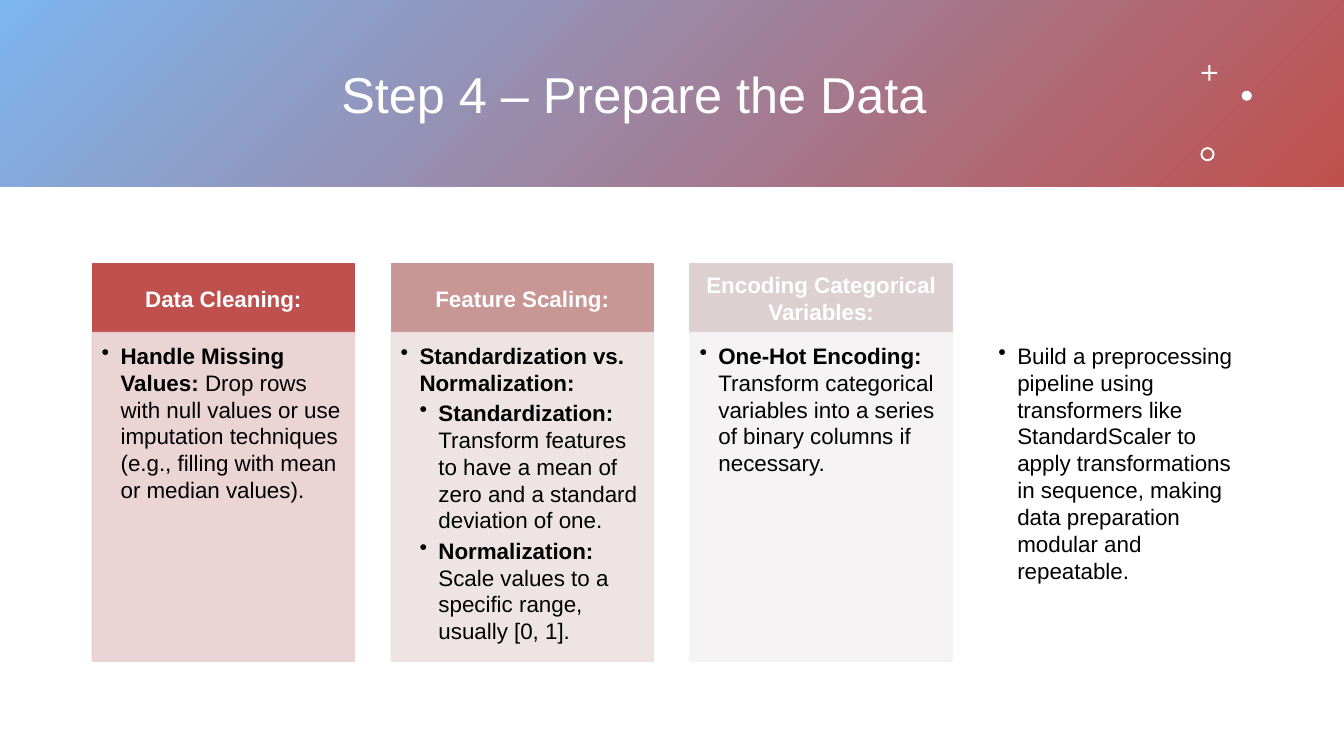
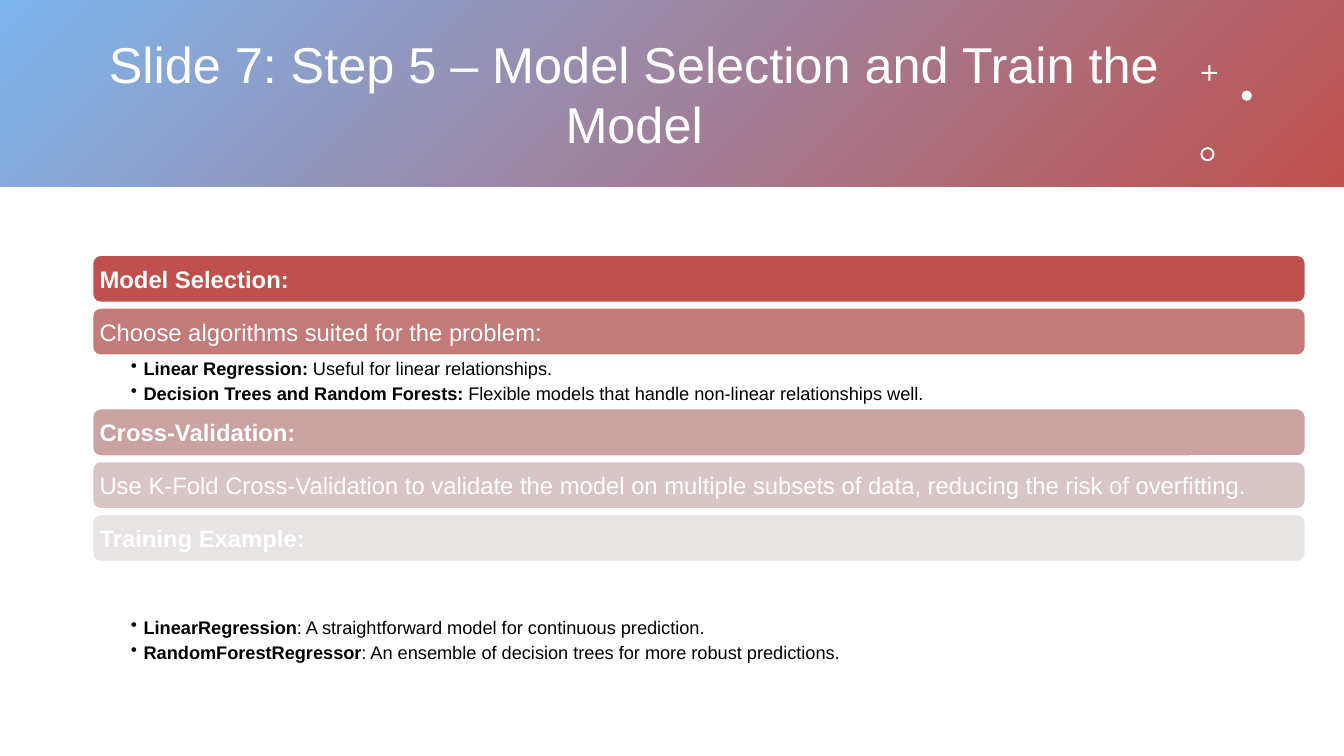
import dataclasses

import pptx
import pptx.dml.color
import pptx.enum.dml
import pptx.enum.shapes
import pptx.enum.text
import pptx.oxml.ns
import pptx.util
from lxml import etree

Pt = pptx.util.Pt
Shape = pptx.enum.shapes.MSO_SHAPE
Align = pptx.enum.text.PP_ALIGN
Anchor = pptx.enum.text.MSO_ANCHOR
qn = pptx.oxml.ns.qn


@dataclasses.dataclass(frozen=True)
class Theme:
    font: str = "Arial"
    white: str = "FFFFFF"
    black: str = "000000"
    sky: str = "7DB6EF"
    brick: str = "C0504D"
    title_size: float = 36
    column_size: float = 16
    bar_size: float = 17
    detail_size: float = 13
    leading: float = 1.2


@dataclasses.dataclass(frozen=True)
class Box:
    left: float
    top: float
    width: float
    height: float

    def lengths(self):
        return [Pt(value) for value in dataclasses.astuple(self)]


THEME = Theme()
PAGE = Box(0, 0, 960, 540)
BAND = Box(0, 0, 960, 133.5)
COLUMNS = Box(66, 188.6, 827.7, 283.7)
BARS = Box(66.2, 182.3, 866.2, 295)


def rgb(value):
    return pptx.dml.color.RGBColor.from_string(value)


def add_block(page, kind, box, fill, line=None, alpha=None):
    shape = page.shapes.add_shape(kind, *box.lengths())
    shape.shadow.inherit = False
    shape.fill.solid()
    shape.fill.fore_color.rgb = rgb(fill)
    if line:
        shape.line.color.rgb = rgb(line)
        shape.line.width = Pt(1)
    else:
        shape.line.fill.background()
    if alpha:
        for color in shape.element.spPr.iter(qn("a:srgbClr")):
            etree.SubElement(color, qn("a:alpha"), val=str(alpha * 1000))
    return shape


def prepare_frame(shape, insets, anchor):
    frame = shape.text_frame
    frame.word_wrap = True
    frame.vertical_anchor = anchor
    (frame.margin_left, frame.margin_top,
     frame.margin_right, frame.margin_bottom) = [Pt(inset) for inset in insets]
    return frame


def write_para(para, spans, size, color, align=Align.LEFT):
    para.alignment = align
    para.line_spacing = Pt(round(size * THEME.leading, 1))
    para.font.name = THEME.font
    para.font.size = Pt(size)
    para.font.color.rgb = rgb(color)
    for text, bold in spans:
        span = para.add_run()
        span.text = text
        span.font.bold = bold


def write_bullets(frame, items, size, hang, gap):
    for index, (level, spans) in enumerate(items):
        para = frame.paragraphs[0] if index == 0 else frame.add_paragraph()
        para.level = level
        para.space_after = Pt(gap)
        properties = para._p.get_or_add_pPr()
        properties.set("marL", str(Pt(hang * level)))
        properties.set("indent", str(-Pt(hang)))
        etree.SubElement(properties, qn("a:buChar"), char="•")
        write_para(para, spans, size, THEME.black)


def add_title_band(page, box, title):
    band = add_block(page, Shape.RECTANGLE, box, THEME.sky)
    band.fill.gradient()
    band.fill.gradient_angle = 315
    for stop, color in zip(band.fill.gradient_stops, (THEME.sky, THEME.brick)):
        stop.color.rgb = rgb(color)

    title_box = Box(box.left + 66, box.top + 23.8, 774, 85.7)
    frame = prepare_frame(page.shapes.add_textbox(*title_box.lengths()),
                          (7.2, 3.6, 7.2, 3.6), Anchor.MIDDLE)
    write_para(frame.paragraphs[0], [(title, False)], THEME.title_size,
               THEME.white, Align.CENTER)

    ornaments = [
        (Shape.CROSS, 858.4, 46.6, 11, 0.44),
        (Shape.OVAL, 887, 64.8, 7.2, None),
        (Shape.DONUT, 857.5, 105.1, 10.1, 0.14),
    ]
    for kind, left, top, size, adjustment in ornaments:
        ornament = add_block(page, kind, Box(box.left + left, box.top + top, size, size),
                             THEME.white)
        if adjustment:
            ornament.adjustments[0] = adjustment


def add_columns(page, box, columns):
    gap, header_height = 26.3, 49
    width = (box.width - gap * (len(columns) - 1)) / len(columns)
    for index, (heading, header_color, body_color, items) in enumerate(columns):
        left = box.left + index * (width + gap)
        header = add_block(page, Shape.RECTANGLE,
                           Box(left, box.top, width, header_height),
                           header_color, header_color)
        if heading:
            frame = prepare_frame(header, (9, 5, 9, 5), Anchor.MIDDLE)
            write_para(frame.paragraphs[0], [(heading, True)], THEME.column_size,
                       THEME.white, Align.CENTER)
        body = add_block(page, Shape.RECTANGLE,
                         Box(left, box.top + header_height, width,
                             box.height - header_height),
                         body_color, body_color, alpha=90)
        frame = prepare_frame(body, (6.7, 6.7, 9, 10), Anchor.TOP)
        write_bullets(frame, items, THEME.column_size, 13.5, 2.4)


def add_bars(page, box, bars):
    bar_height, gap, detail_height = 33.7, 4, 38.3
    top = box.top
    for heading, bold, color, items in bars:
        bar = add_block(page, Shape.ROUNDED_RECTANGLE,
                        Box(box.left, top, box.width, bar_height),
                        color, THEME.white)
        if heading:
            frame = prepare_frame(bar, (3.3, 3.3, 3.3, 3.3), Anchor.MIDDLE)
            write_para(frame.paragraphs[0], [(heading, bold)], THEME.bar_size,
                       THEME.white)
        top += bar_height
        if items:
            detail = page.shapes.add_textbox(
                *Box(box.left, top, box.width, detail_height).lengths())
            frame = prepare_frame(detail, (27.4, 1.4, 9.4, 1.4), Anchor.TOP)
            write_bullets(frame, items, THEME.detail_size, 9, 2.6)
            top += detail_height
        else:
            top += gap


PREPARATION = [
    ("Data Cleaning:", THEME.brick, "E8D0D0", [
        (1, [("Handle Missing Values: ", True),
             ("Drop rows with null values or use imputation techniques "
              "(e.g., filling with mean or median values).", False)]),
    ]),
    ("Feature Scaling:", "C89695", "EDE2E2", [
        (1, [("Standardization vs. Normalization:", True)]),
        (2, [("Standardization: ", True),
             ("Transform features to have a mean of zero and a standard "
              "deviation of one.", False)]),
        (2, [("Normalization: ", True),
             ("Scale values to a specific range, usually [0, 1].", False)]),
    ]),
    ("Encoding Categorical Variables:", "DDD0D0", "F5F2F2", [
        (1, [("One-Hot Encoding: ", True),
             ("Transform categorical variables into a series of binary columns "
              "if necessary.", False)]),
    ]),
    (None, THEME.white, THEME.white, [
        (1, [("Build a preprocessing pipeline using transformers like "
              "StandardScaler to apply transformations in sequence, making data "
              "preparation modular and repeatable.", False)]),
    ]),
]

TRAINING = [
    ("Model Selection:", True, THEME.brick, []),
    ("Choose algorithms suited for the problem:", False, "C37B7A", [
        (1, [("Linear Regression:", True),
             (" Useful for linear relationships.", False)]),
        (1, [("Decision Trees and Random Forests:", True),
             (" Flexible models that handle non-linear relationships well.", False)]),
    ]),
    ("Cross-Validation:", True, "CBA2A2", []),
    ("Use K-Fold Cross-Validation to validate the model on multiple subsets of data, "
     "reducing the risk of overfitting.", False, "D8C5C5", []),
    ("Training Example:", True, "E9E4E4", []),
    (None, False, THEME.white, [
        (1, [("LinearRegression", True),
             (": A straightforward model for continuous prediction.", False)]),
        (1, [("RandomForestRegressor", True),
             (": An ensemble of decision trees for more robust predictions.", False)]),
    ]),
]


def main():
    deck = pptx.Presentation()
    deck.slide_width, deck.slide_height = Pt(PAGE.width), Pt(PAGE.height)
    slides = [
        ("Step 4 – Prepare the Data", add_columns, COLUMNS, PREPARATION),
        ("Slide 7: Step 5 – Model Selection and Train the Model",
         add_bars, BARS, TRAINING),
    ]
    for title, add_content, box, content in slides:
        page = deck.slides.add_slide(deck.slide_layouts[6])
        add_title_band(page, BAND, title)
        add_content(page, box, content)
    deck.save("out.pptx")


if __name__ == "__main__":
    main()
